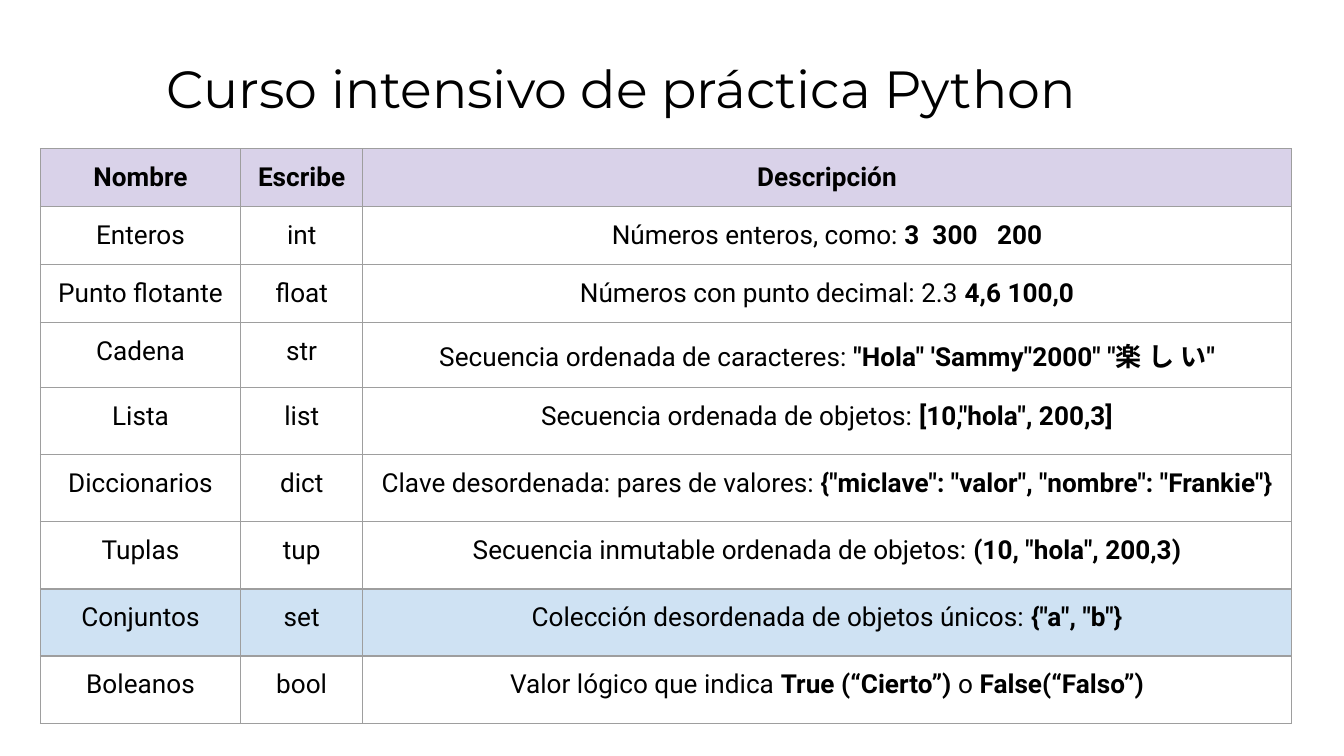
from dataclasses import dataclass

from lxml import etree
from pptx import Presentation
from pptx.dml.color import RGBColor
from pptx.enum.text import MSO_ANCHOR, MSO_AUTO_SIZE, PP_ALIGN
from pptx.oxml.ns import qn
from pptx.util import Pt

LEFT, CENTER = PP_ALIGN.LEFT, PP_ALIGN.CENTER
TOP = MSO_ANCHOR.TOP
NO_AUTOFIT = MSO_AUTO_SIZE.NONE


@dataclass(frozen=True)
class Theme:
    text: str = "000000"
    header: str = "D9D2E9"
    highlight: str = "CFE2F3"
    border: str = "9E9E9E"
    title_font: str = "Montserrat"
    table_font: str = "Roboto"
    title_size: float = 28
    table_size: float = 14
    border_width: float = 0.75
    inset: float = 7.2


theme = Theme()


def write_text(paragraph, text, *, font, size, align):
    paragraph.alignment = align
    for index, part in enumerate(text.split("**")):
        if part:
            run = paragraph.add_run()
            run.text = part
            run.font.name = font
            run.font.size = Pt(size)
            run.font.bold = index % 2 == 1
            run.font.color.rgb = RGBColor.from_string(theme.text)


def add_borders(cell):
    properties = cell._tc.get_or_add_tcPr()
    for index, side in enumerate(("a:lnL", "a:lnR", "a:lnT", "a:lnB")):
        line = etree.Element(qn(side), w=str(Pt(theme.border_width)))
        fill = etree.SubElement(line, qn("a:solidFill"))
        etree.SubElement(fill, qn("a:srgbClr"), val=theme.border)
        properties.insert(index, line)


presentation = Presentation()
presentation.slide_width = Pt(720)
presentation.slide_height = Pt(405)
slide = presentation.slides.add_slide(presentation.slide_layouts[5])

title = slide.shapes.title
title.left, title.top, title.width, title.height = Pt(82), Pt(23), Pt(613.5), Pt(45.5)
frame = title.text_frame
frame.auto_size = NO_AUTOFIT
frame.vertical_anchor = TOP
frame.margin_left = frame.margin_right = Pt(theme.inset)
frame.margin_top = frame.margin_bottom = Pt(theme.inset)
write_text(frame.paragraphs[0], "Curso intensivo de práctica Python",
           font=theme.title_font, size=theme.title_size, align=LEFT)

rows = [
    ("**Nombre**", "**Escribe**", "**Descripción**"),
    ("Enteros", "int", "Números enteros, como: **3  300   200**"),
    ("Punto flotante", "float", "Números con punto decimal: 2.3** 4,6 100,0**"),
    ("Cadena", "str",
     "Secuencia ordenada de caracteres: **\"Hola\" 'Sammy\"2000\" \"楽 し い\"**"),
    ("Lista", "list", 'Secuencia ordenada de objetos: **[10,"hola", 200,3]**'),
    ("Diccionarios", "dict",
     'Clave desordenada: pares de valores: **{"miclave": "valor", "nombre": "Frankie"}**'),
    ("Tuplas", "tup", 'Secuencia inmutable ordenada de objetos: **(10, "hola", 200,3)**'),
    ("Conjuntos", "set", 'Colección desordenada de objetos únicos: **{"a", "b"}**'),
    ("Boleanos", "bool", "Valor lógico que indica **True (“Cierto”) **o **False(“Falso”)**"),
]
column_widths = [107.2, 65.5, 497.4]
row_heights = [28, 26, 23, 34] + [36] * 5
row_fills = {0: theme.header, 7: theme.highlight}

table_frame = slide.shapes.add_table(
    len(rows), len(column_widths), Pt(21.7), Pt(79.7),
    Pt(sum(column_widths)), Pt(sum(row_heights)))
table = table_frame.table
table.first_row = table.horz_banding = False
for column, width in zip(table.columns, column_widths):
    column.width = Pt(width)

for row_index, texts in enumerate(rows):
    table.rows[row_index].height = Pt(row_heights[row_index])
    for column_index, text in enumerate(texts):
        cell = table.cell(row_index, column_index)
        cell.margin_left = cell.margin_right = Pt(theme.inset)
        cell.margin_top = cell.margin_bottom = Pt(theme.inset)
        cell.vertical_anchor = TOP
        if row_index in row_fills:
            cell.fill.solid()
            cell.fill.fore_color.rgb = RGBColor.from_string(row_fills[row_index])
        else:
            cell.fill.background()
        add_borders(cell)
        write_text(cell.text_frame.paragraphs[0], text,
                   font=theme.table_font, size=theme.table_size, align=CENTER)

presentation.save("out.pptx")
